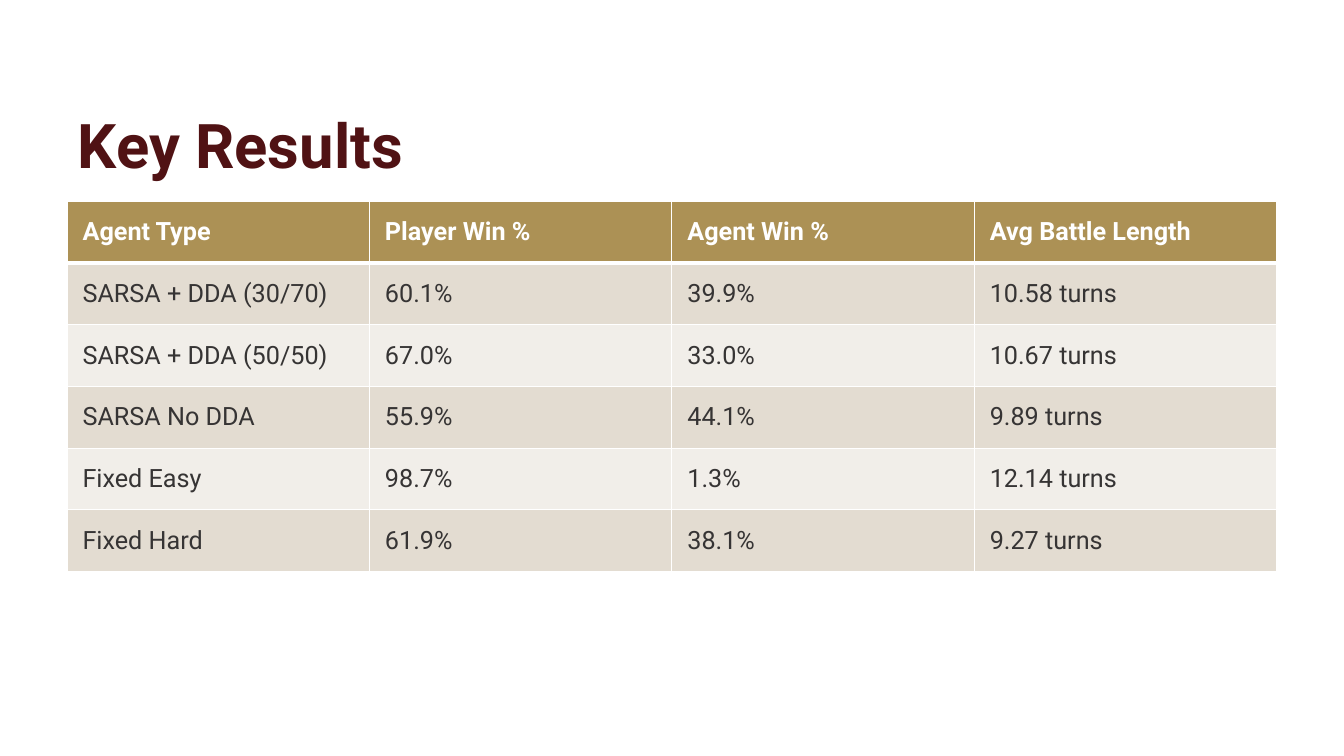
from lxml import etree
from pptx import Presentation
from pptx.dml.color import RGBColor as RGB
from pptx.enum.text import MSO_ANCHOR as Anchor
from pptx.oxml.ns import qn
from pptx.util import Pt

COLORS = {
    "maroon": "501214",
    "gold": "AC9155",
    "sand": "E3DCD1",
    "cream": "F1EEE9",
    "ink": "363434",
    "white": "FFFFFF",
}
RESULTS = [
    ("Agent Type", "Player Win %", "Agent Win %", "Avg Battle Length"),
    ("SARSA + DDA (30/70)", "60.1%", "39.9%", "10.58 turns"),
    ("SARSA + DDA (50/50)", "67.0%", "33.0%", "10.67 turns"),
    ("SARSA No DDA", "55.9%", "44.1%", "9.89 turns"),
    ("Fixed Easy", "98.7%", "1.3%", "12.14 turns"),
    ("Fixed Hard", "61.9%", "38.1%", "9.27 turns"),
]
CELL_INSET = 11.2


def write(tf, text, size=18, color="ink", bold=False, spacing=1.0):
    p = tf.paragraphs[0]
    p.line_spacing = spacing
    r = p.add_run()
    r.text = text
    r.font.name = "Roboto"
    r.font.size = Pt(size)
    r.font.bold = bold
    r.font.color.rgb = RGB.from_string(COLORS[color])


def set_borders(cell, **widths):
    tc_pr = cell._tc.get_or_add_tcPr()
    for side in "LRTB":
        width = Pt(widths.get(side, 1))
        ln = etree.SubElement(tc_pr, qn(f"a:ln{side}"), w=str(int(width)))
        fill = etree.SubElement(ln, qn("a:solidFill"))
        etree.SubElement(fill, qn("a:srgbClr"), val=COLORS["white"])


def add_title(slide, text, left, top, width, height):
    sp = slide.shapes.add_textbox(Pt(left), Pt(top), Pt(width), Pt(height))
    tf = sp.text_frame
    tf.word_wrap = True
    tf.vertical_anchor = Anchor.BOTTOM
    write(tf, text, size=44, color="maroon", bold=True, spacing=0.9)


def add_results(slide, rows, left, top, width, height):
    table = slide.shapes.add_table(
        len(rows), len(rows[0]), Pt(left), Pt(top), Pt(width), Pt(height)
    ).table
    for column in table.columns:
        column.width = Pt(width / len(rows[0]))
    for i, values in enumerate(rows):
        table.rows[i].height = Pt(height / len(rows))
        header = i == 0
        fill = "gold" if header else "sand" if i % 2 else "cream"
        for j, value in enumerate(values):
            cell = table.cell(i, j)
            cell.margin_left = cell.margin_right = Pt(CELL_INSET)
            cell.margin_top = cell.margin_bottom = Pt(CELL_INSET)
            cell.vertical_anchor = Anchor.MIDDLE
            set_borders(cell, T=3 if i == 1 else 1, B=3 if header else 1)
            cell.fill.solid()
            cell.fill.fore_color.rgb = RGB.from_string(COLORS[fill])
            write(cell.text_frame, value, color="white" if header else "ink", bold=header)


def main():
    prs = Presentation()
    prs.slide_width, prs.slide_height = Pt(960), Pt(540)
    slide = prs.slides.add_slide(prs.slide_layouts[6])
    add_title(slide, "Key Results", 48.5, 28.8, 864, 104.4)
    add_results(slide, RESULTS, 47.8, 144, 864, 261)
    prs.save("out.pptx")


if __name__ == "__main__":
    main()
